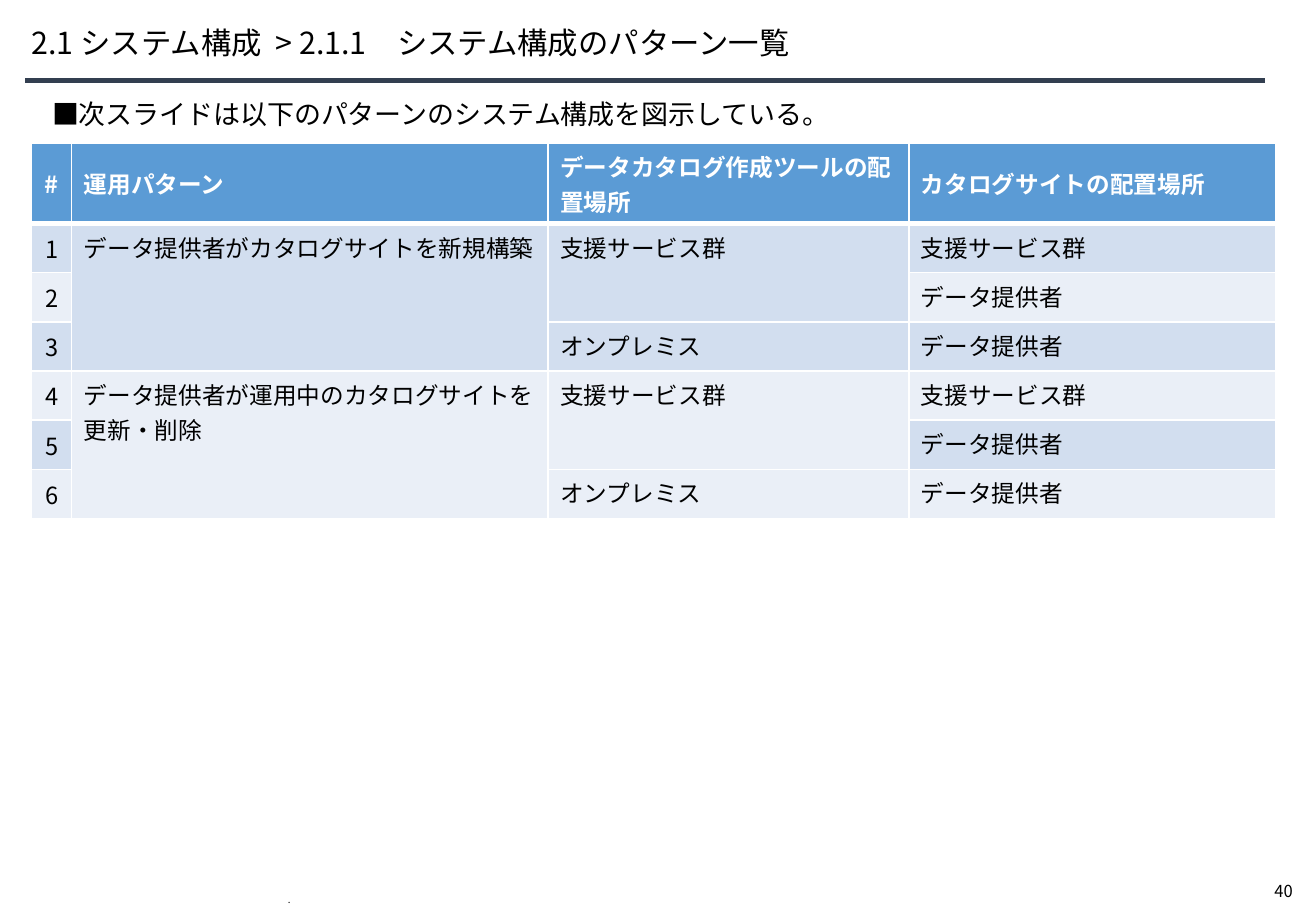
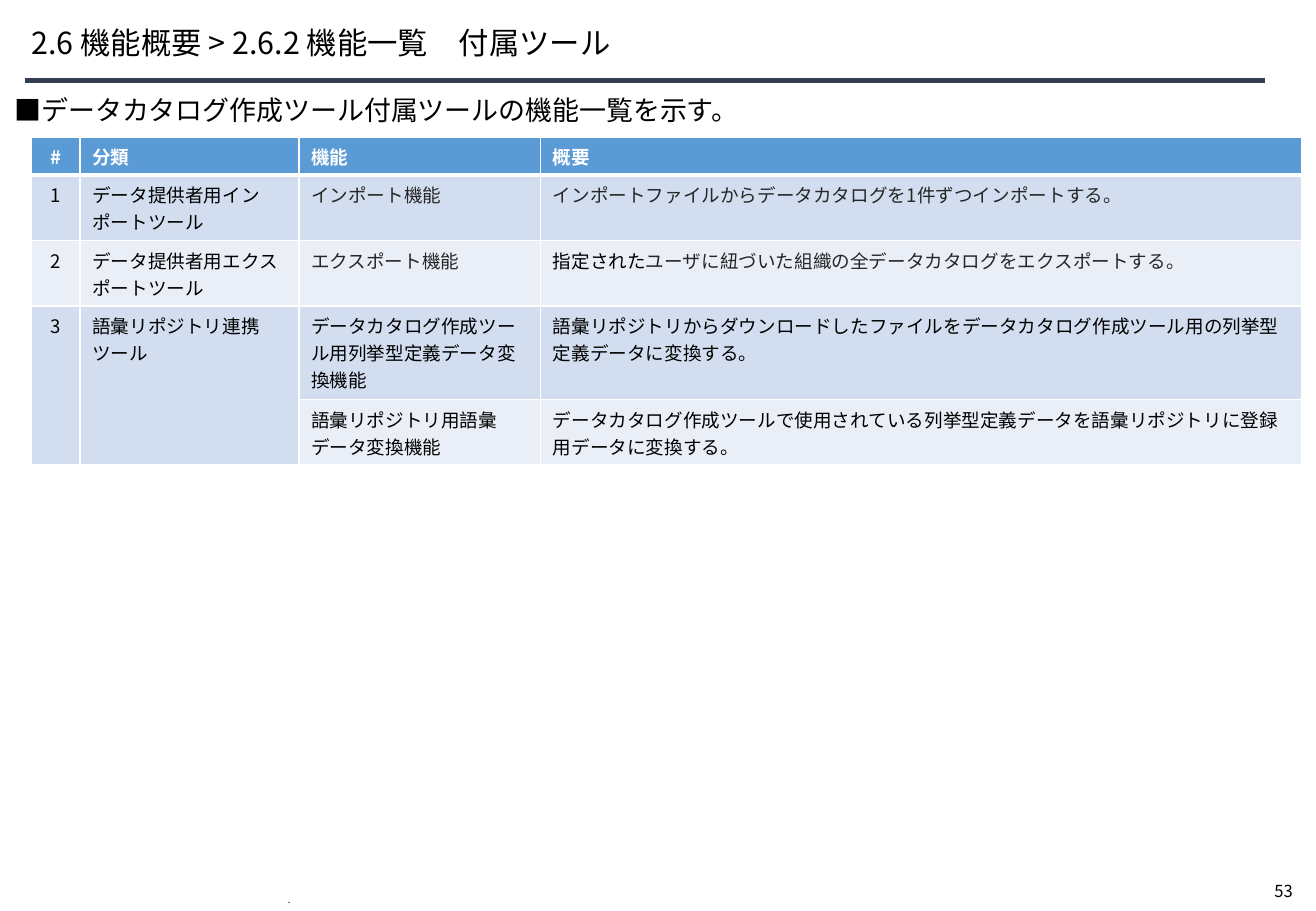
from lxml.etree import SubElement
from pptx import Presentation
from pptx.dml.color import RGBColor
from pptx.enum.shapes import MSO_CONNECTOR, MSO_SHAPE
from pptx.enum.text import MSO_ANCHOR, MSO_AUTO_SIZE, PP_ALIGN
from pptx.oxml.ns import qn
from pptx.util import Inches, Pt

FONT = "Noto Sans CJK JP"
BLACK = RGBColor(0x00, 0x00, 0x00)
CHARCOAL = RGBColor(0x26, 0x26, 0x26)
WHITE = RGBColor(0xFF, 0xFF, 0xFF)
NAVY = RGBColor(0x33, 0x3F, 0x50)
HEADER_BLUE = RGBColor(0x5B, 0x9B, 0xD5)
BANDS = [RGBColor(0xD2, 0xDE, 0xEF), RGBColor(0xEA, 0xEF, 0xF7)]

PATTERN_ROWS = [
    ["#", "運用パターン", "データカタログ作成ツールの配置場所", "カタログサイトの配置場所"],
    ["1", "データ提供者がカタログサイトを新規構築", "支援サービス群", "支援サービス群"],
    ["2", None, None, "データ提供者"],
    ["3", None, "オンプレミス", "データ提供者"],
    ["4", "データ提供者が運用中のカタログサイトを更新・削除", "支援サービス群", "支援サービス群"],
    ["5", None, None, "データ提供者"],
    ["6", None, "オンプレミス", "データ提供者"],
]

FUNCTION_ROWS = [
    ["#", "分類", "機能", "概要"],
    ["1", "データ提供者用インポートツール",
     [("インポート機能", CHARCOAL)],
     [("インポートファイルからデータカタログを1件ずつインポートする。", CHARCOAL)]],
    ["2", "データ提供者用エクスポートツール",
     [("エクスポート機能", CHARCOAL)],
     [("指定された", BLACK),
      ("ユーザに紐づいた組織の全データカタログをエクスポートする。", CHARCOAL)]],
    ["3", "語彙リポジトリ連携ツール",
     "データカタログ作成ツール用列挙型定義データ変換機能",
     "語彙リポジトリからダウンロードしたファイルをデータカタログ作成ツール用の列挙型定義データに変換する。"],
    [None, None,
     "語彙リポジトリ用語彙データ変換機能",
     "データカタログ作成ツールで使用されている列挙型定義データを語彙リポジトリに登録用データに変換する。"],
]


def write(frame, text, size, color=BLACK, bold=False, align=PP_ALIGN.LEFT,
          anchor=MSO_ANCHOR.TOP, spacing=None):
    frame.word_wrap = True
    frame.vertical_anchor = anchor
    para = frame.paragraphs[0]
    para.alignment = align
    if spacing:
        para.line_spacing = spacing
    spans = [(text, color)] if isinstance(text, str) else text
    for words, span_color in spans:
        span = para.add_run()
        span.text = words
        span.font.size = Pt(size)
        span.font.bold = bold
        span.font.color.rgb = span_color
        span.font.name = FONT
        latin = span._r.get_or_add_rPr().find(qn("a:latin"))
        east_asian = latin.makeelement(qn("a:ea"), {"typeface": FONT})
        latin.addnext(east_asian)


def add_text(page, text, left, top, width, height, size, **style):
    box = page.shapes.add_textbox(Inches(left), Inches(top), Inches(width), Inches(height))
    write(box.text_frame, text, size, **style)


def add_page(deck, title, number):
    page = deck.slides.add_slide(deck.slide_layouts[5])
    heading = page.shapes.title
    heading.left, heading.top = Inches(0.26), Inches(0.13)
    heading.width, heading.height = Inches(9.92), Inches(0.47)
    frame = heading.text_frame
    frame.auto_size = MSO_AUTO_SIZE.NONE
    frame.margin_left = 0
    write(frame, title, 18, anchor=MSO_ANCHOR.MIDDLE, spacing=0.9)

    rule = page.shapes.add_connector(
        MSO_CONNECTOR.STRAIGHT, Inches(0.21), Inches(0.66), Inches(10.41), Inches(0.66))
    rule.line.color.rgb = NAVY
    rule.line.width = Pt(3)
    SubElement(rule._element.spPr, qn("a:effectLst"))

    add_text(page, number, 10.39, 7.2, 0.43, 0.27, 9.8)
    add_text(page, ".", 2.27, 7.36, 6.3, 0.14, 5.7, anchor=MSO_ANCHOR.BOTTOM, spacing=Pt(1.6))
    return page


def add_lead(page, text, left, top, width, height):
    box = page.shapes.add_shape(
        MSO_SHAPE.RECTANGLE, Inches(left), Inches(top), Inches(width), Inches(height))
    box.shadow.inherit = False
    box.fill.solid()
    box.fill.fore_color.rgb = WHITE
    box.line.fill.background()
    write(box.text_frame, text, 16)


def set_borders(cell, top, bottom):
    properties = cell._tc.get_or_add_tcPr()
    for side, width in (("L", 1), ("R", 1), ("T", top), ("B", bottom)):
        line = SubElement(properties, qn(f"a:ln{side}"), w=str(Pt(width)))
        fill = SubElement(line, qn("a:solidFill"))
        SubElement(fill, qn("a:srgbClr"), val=str(WHITE))


def add_grid(page, rows, top, widths, heights, size, number_anchor):
    grid = page.shapes.add_table(
        len(rows), len(widths), Inches(0.26), Inches(top),
        Inches(sum(widths)), Inches(sum(heights))).table
    for column, width in zip(grid.columns, widths):
        column.width = Inches(width)
    for row, height in zip(grid.rows, heights):
        row.height = Inches(height)

    for r, row in enumerate(rows):
        header = r == 0
        for c, text in enumerate(row):
            cell = grid.cell(r, c)
            set_borders(cell, top=3 if r == 1 else 1, bottom=3 if header else 1)
            cell.fill.solid()
            cell.fill.fore_color.rgb = HEADER_BLUE if header else BANDS[(r - 1) % 2]
            if text is None:
                continue
            anchor = MSO_ANCHOR.TOP
            if header:
                anchor = MSO_ANCHOR.MIDDLE
            elif c == 0:
                anchor = number_anchor
            write(cell.text_frame, text, size, color=WHITE if header else BLACK, bold=header,
                  align=PP_ALIGN.CENTER if c == 0 else PP_ALIGN.LEFT)
            cell.vertical_anchor = anchor
            last = r
            while last + 1 < len(rows) and rows[last + 1][c] is None:
                last += 1
            if last > r:
                cell.merge(grid.cell(last, c))


def main():
    deck = Presentation()
    deck.slide_width, deck.slide_height = Inches(10.83), Inches(7.5)

    patterns = add_page(deck, "2.1 システム構成  > 2.1.1 システム構成のパターン一覧".replace("2.1.1 ", "2.1.1　"), "40")
    add_lead(patterns, "■次スライドは以下のパターンのシステム構成を図示している。", 0.33, 0.75, 10.16, 0.47)
    add_grid(patterns, PATTERN_ROWS, 1.18, [0.33, 3.92, 2.97, 3.02],
             [0.66] + [2.43 / 6] * 6, 14, MSO_ANCHOR.MIDDLE)

    functions = add_page(deck, "2.6 機能概要 > 2.6.2 機能一覧　付属ツール", "53")
    add_lead(functions, "■データカタログ作成ツール付属ツールの機能一覧を示す。", 0.02, 0.72, 10.79, 0.34)
    add_grid(functions, FUNCTION_ROWS, 1.13, [0.4, 1.8, 1.99, 6.26],
             [0.31, 0.54, 0.54, 0.77, 0.54], 11, MSO_ANCHOR.TOP)

    deck.save("out.pptx")


if __name__ == "__main__":
    main()
